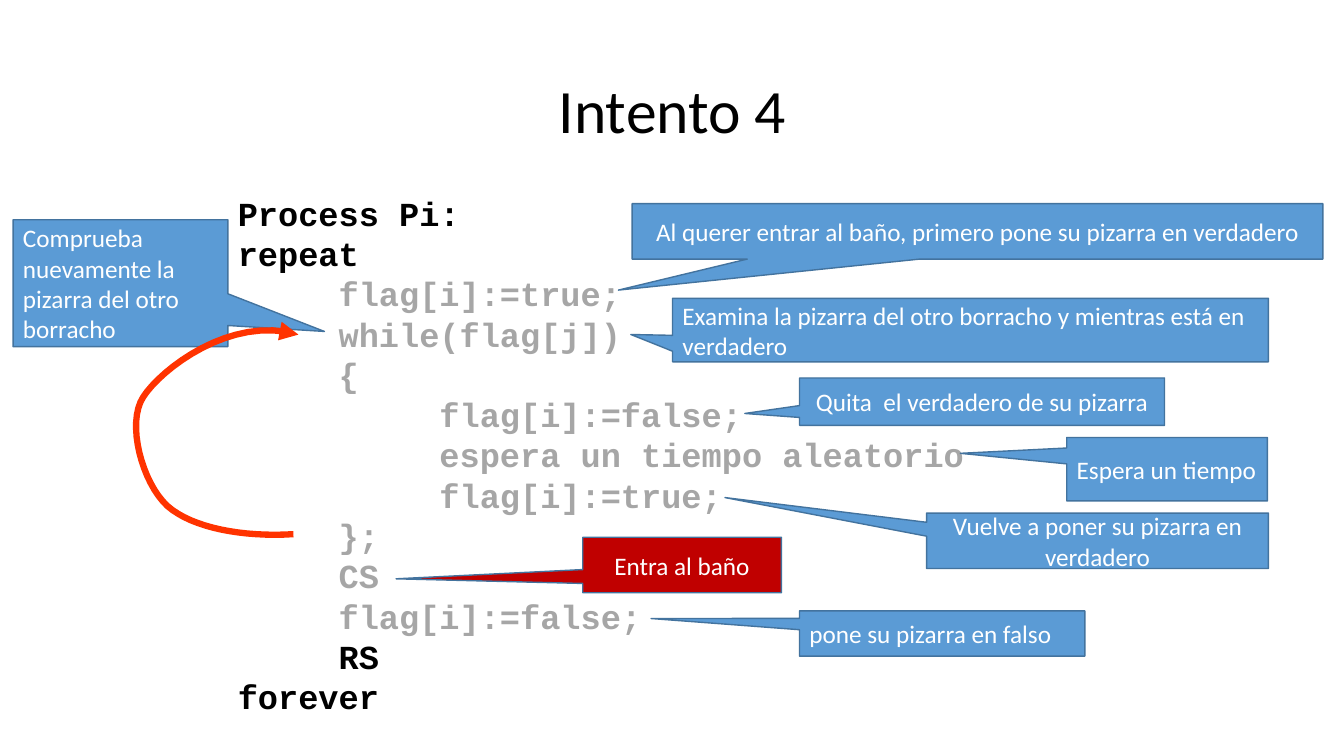
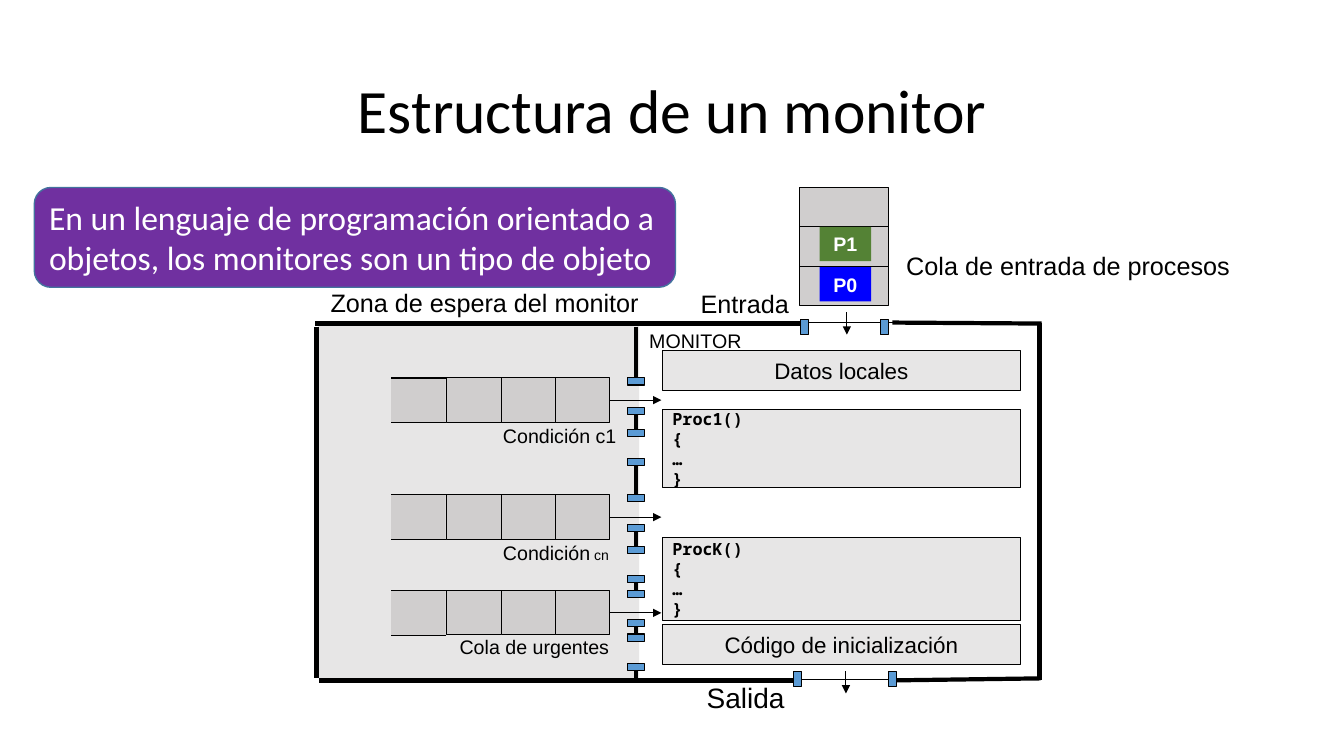
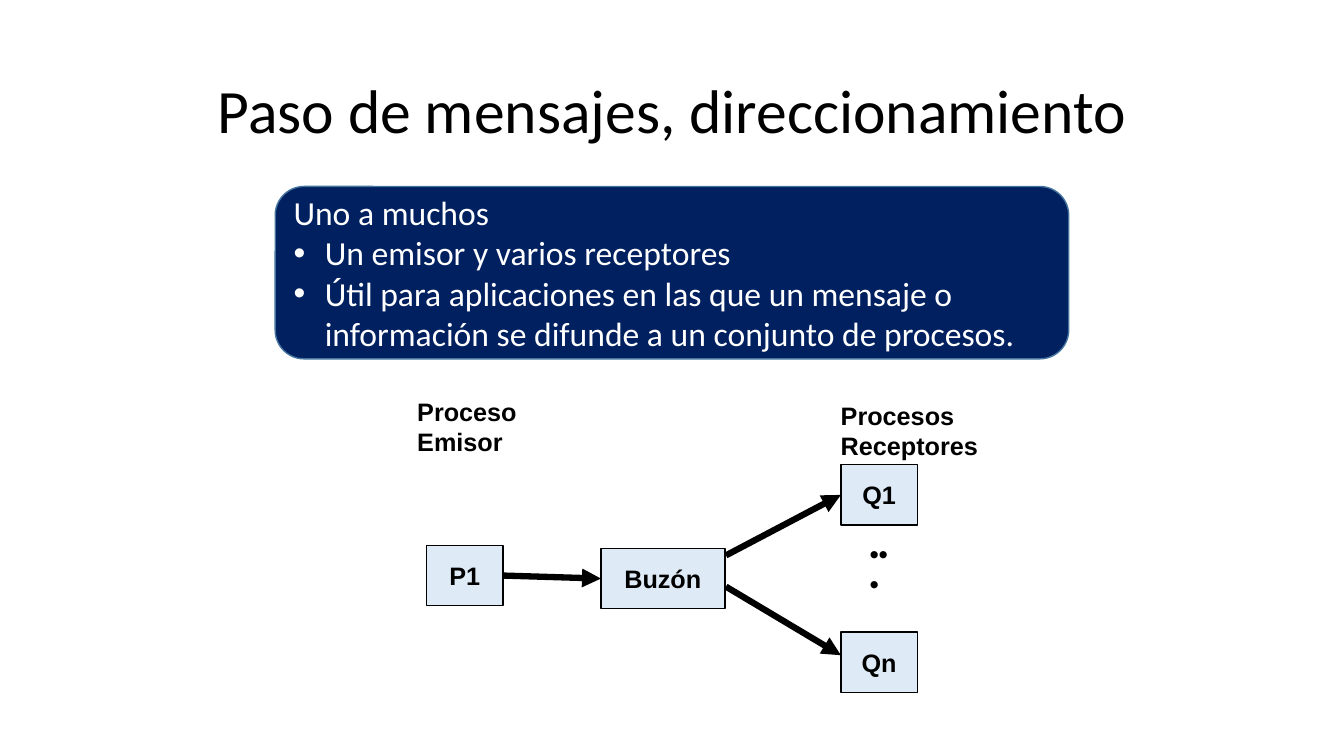
from dataclasses import dataclass
from typing import NamedTuple, Optional

from lxml.etree import SubElement
from pptx import Presentation
from pptx.dml.color import RGBColor
from pptx.enum.shapes import MSO_CONNECTOR, MSO_SHAPE
from pptx.enum.text import MSO_ANCHOR, MSO_AUTO_SIZE, PP_ALIGN
from pptx.oxml.ns import qn
from pptx.shapes.autoshape import Shape
from pptx.shapes.connector import Connector
from pptx.slide import Slide
from pptx.text.text import TextFrame
from pptx.util import Inches, Pt


@dataclass(frozen=True)
class Font:
    size: int
    name: str = "Arial"
    color: str = "000000"
    bold: bool = False


@dataclass(frozen=True)
class Theme:
    black: str = "000000"
    blue: str = "5B9BD5"
    edge: str = "43739E"
    red: str = "C00000"
    arrow: str = "FF3300"
    zone: str = "E7E6E6"
    cell: str = "D0CECE"
    green: str = "548235"
    bright: str = "0000FF"
    purple: str = "7030A0"
    navy: str = "002060"
    pale: str = "DEEBF7"
    thin: float = 0.75
    mid: float = 1
    wall: float = 3
    thick: float = 4.5
    title: Font = Font(44, "Calibri")
    note: Font = Font(18, "Calibri", "FFFFFF")
    panel: Font = Font(24, "Calibri", "FFFFFF")
    code: Font = Font(24, "Courier New", bold=True)
    dim: Font = Font(24, "Courier New", "A6A6A6", True)
    proc: Font = Font(12, "Noto Sans Mono", bold=True)
    tiny: Font = Font(10)
    small: Font = Font(14)
    body: Font = Font(16)
    label: Font = Font(18)
    large: Font = Font(20)
    node: Font = Font(18, bold=True)
    token: Font = Font(14, color="FFFFFF", bold=True)


class Box(NamedTuple):
    x: float
    y: float
    w: float
    h: float


class Para(NamedTuple):
    runs: tuple[tuple[str, Font], ...]
    left: float = 0
    bullet: bool = False


class Note(NamedTuple):
    box: Box
    tip: tuple[float, float]
    text: str
    center: bool = False
    fill: str = Theme.blue


class Label(NamedTuple):
    box: Box
    paras: list[Para]
    wrap: bool = False


T = Theme()
CENTER = PP_ALIGN.CENTER
LEFT = PP_ALIGN.LEFT
Point = tuple[float, float]


def plain(font: Font, *lines: str) -> list[Para]:
    return [Para(((line, font),)) for line in lines]


def write(frame: TextFrame, paras: list[Para], align: PP_ALIGN = LEFT) -> None:
    for i, para in enumerate(paras):
        item = frame.add_paragraph() if i else frame.paragraphs[0]
        item.alignment = align
        for text, font in para.runs:
            run = item.add_run()
            run.text = text
            run.font.size = Pt(font.size)
            run.font.name = font.name
            run.font.bold = font.bold
            run.font.color.rgb = RGBColor.from_string(font.color)
        if para.left:
            props = item._p.get_or_add_pPr()
            props.set("marL", str(Inches(para.left)))
            props.set("indent", str(-Inches(para.left) if para.bullet else 0))
            if para.bullet:
                SubElement(props, qn("a:buFont")).set("typeface", "Arial")
                SubElement(props, qn("a:buChar")).set("char", "•")


def paint(shape: Shape, fill: Optional[str], edge: Optional[str], width: float) -> None:
    shape.shadow.inherit = False
    if fill:
        shape.fill.solid()
        shape.fill.fore_color.rgb = RGBColor.from_string(fill)
    else:
        shape.fill.background()
    if edge:
        shape.line.color.rgb = RGBColor.from_string(edge)
        shape.line.width = Pt(width)
    else:
        shape.line.fill.background()


def block(
    slide: Slide,
    box: Box,
    fill: Optional[str],
    edge: Optional[str] = T.black,
    width: float = T.thin,
    paras: Optional[list[Para]] = None,
    align: PP_ALIGN = CENTER,
    kind: MSO_SHAPE = MSO_SHAPE.RECTANGLE,
) -> Shape:
    shape = slide.shapes.add_shape(kind, *map(Inches, box))
    paint(shape, fill, edge, width)
    if paras:
        shape.text_frame.word_wrap = True
        shape.text_frame.vertical_anchor = MSO_ANCHOR.MIDDLE
        write(shape.text_frame, paras, align)
    return shape


def put(slide: Slide, label: Label) -> None:
    frame = slide.shapes.add_textbox(*map(Inches, label.box)).text_frame
    frame.word_wrap = label.wrap
    frame.auto_size = MSO_AUTO_SIZE.SHAPE_TO_FIT_TEXT
    write(frame, label.paras)


def point(shape: Shape | Connector) -> None:
    SubElement(shape.element.spPr.find(qn("a:ln")), qn("a:tailEnd")).set("type", "triangle")


def line(slide: Slide, start: Point, end: Point, width: float = T.thin, head: bool = False) -> Connector:
    link = slide.shapes.add_connector(MSO_CONNECTOR.STRAIGHT, *map(Inches, start + end))
    link.line.color.rgb = RGBColor.from_string(T.black)
    link.line.width = Pt(width)
    if head:
        point(link)
    SubElement(link.element.spPr, qn("a:effectLst"))
    return link


def bend(a: Point, b: Point, c: Point, d: Point, steps: int = 16) -> list[Point]:
    spots = []
    for i in range(1, steps + 1):
        t = i / steps
        u = 1 - t
        rates = (u**3, 3 * u * u * t, 3 * u * t * t, t**3)
        spots.append(tuple(sum(r * p[k] for r, p in zip(rates, (a, b, c, d))) for k in (0, 1)))
    return spots


def start(deck: Presentation, title: str) -> Slide:
    slide = deck.slides.add_slide(deck.slide_layouts[6])
    frame = slide.shapes.add_textbox(*map(Inches, Box(0.92, 0.4, 11.5, 1.45))).text_frame
    frame.word_wrap = True
    frame.vertical_anchor = MSO_ANCHOR.MIDDLE
    write(frame, plain(T.title, title), CENTER)
    frame.paragraphs[0].line_spacing = 0.9
    return slide


def loop(slide: Slide) -> None:
    first = (2.91, 5.3)
    curves = (
        ((2.41, 5.33), (1.91, 5.24), (1.66, 5.02)),
        ((1.41, 4.79), (1.25, 4.2), (1.42, 3.94)),
        ((1.59, 3.67), (2.29, 3.12), (2.96, 3.32)),
    )
    spots = [first]
    for curve in curves:
        spots += bend(spots[-1], *curve)
    track = [(Inches(x), Inches(y)) for x, y in spots]
    pen = slide.shapes.build_freeform(*track[0])
    pen.add_line_segments(track[1:], close=False)
    shape = pen.convert_to_shape()
    paint(shape, None, T.arrow, T.thick)
    point(shape)


def attempt(deck: Presentation) -> None:
    slide = start(deck, "Intento 4")
    code = (
        (0, T.code, "Process Pi:"),
        (0, T.code, "repeat"),
        (1, T.dim, "flag[i]:=true;"),
        (1, T.dim, "while(flag[j])"),
        (1, T.dim, "{"),
        (2, T.dim, "flag[i]:=false;"),
        (2, T.dim, "espera un tiempo aleatorio"),
        (2, T.dim, "flag[i]:=true;"),
        (1, T.dim, "};"),
        (1, T.dim, "CS"),
        (1, T.dim, "flag[i]:=false;"),
        (1, T.code, "RS"),
        (0, T.code, "forever"),
    )
    lines = [Para(((text, font),), left) for left, font, text in code]
    put(slide, Label(Box(2.26, 1.86, 7.72, 5.35), lines, True))
    notes = (
        Note(Box(0.13, 2.18, 2.13, 1.26), (0.95, 0.38), "Comprueba nuevamente la pizarra del otro borracho"),
        Note(Box(6.27, 2.02, 6.85, 0.55), (-0.52, 1.06),
             "Al querer entrar al baño, primero pone su pizarra en verdadero", True),
        Note(Box(6.67, 2.96, 5.91, 0.63), (-0.57, 0.07),
             "Examina la pizarra del otro borracho y mientras está en verdadero"),
        Note(Box(7.93, 3.75, 3.62, 0.47), (-0.65, 0.25), "Quita  el verdadero de su pizarra", True),
        Note(Box(10.58, 4.34, 1.99, 0.63), (-1.03, -0.25), "Espera un tiempo"),
        Note(Box(9.19, 5.09, 3.39, 0.55), (-1.09, -0.78), "Vuelve a poner su pizarra en verdadero", True),
        Note(Box(5.78, 5.33, 1.97, 0.55), (-1.44, 0.25), "Entra al baño", True, T.red),
        Note(Box(7.93, 6.06, 2.83, 0.45), (-1.02, -0.33), "pone su pizarra en falso"),
    )
    for note in notes:
        shape = block(
            slide, note.box, note.fill, T.edge, T.mid, plain(T.note, note.text),
            CENTER if note.center else LEFT, MSO_SHAPE.RECTANGULAR_CALLOUT,
        )
        for i, value in enumerate(note.tip):
            shape.adjustments[i] = value
    loop(slide)


def queue(slide: Slide, top: float) -> None:
    left, wide, high = 3.88, 0.54, 0.44
    block(slide, Box(left, top, wide, high), T.cell, None)
    for y in (top, top + high):
        line(slide, (left + wide, y), (left, y))
    for i in range(1, 4):
        last = block(slide, Box(left + i * wide + 0.01, top, wide, high), T.cell)
    y = top + high / 2
    line(slide, (6.06, y), (6.56, y), head=True).begin_connect(last, 3)


def divide(slide: Slide) -> None:
    gates = (3.75, 4.26, 4.91, 5.42, 5.86, 6.29)
    gap, high = 0.29, 0.07
    heads = [3.24] + [y + gap for y in gates]
    ends = [y + high for y in gates] + [6.73]
    for top, low in zip(heads, ends):
        line(slide, (6.31, top), (6.31, low), T.wall)
    for gate in gates:
        for y in (gate, gate + gap):
            block(slide, Box(6.22, y, 0.17, high), T.blue)


def monitor(deck: Presentation) -> None:
    slide = start(deck, "Estructura de un monitor")
    block(slide, Box(6.29, 3.2, 4.02, 3.54), None)
    block(slide, Box(3.16, 3.2, 3.18, 3.53), T.zone, None)
    walls = (
        ((7.93, 3.21), (3.12, 3.21)),
        ((8.85, 3.2), (10.33, 3.21)),
        ((3.14, 3.24), (3.14, 6.73)),
        ((10.31, 3.2), (10.31, 6.75)),
        ((7.94, 6.75), (3.16, 6.75)),
        ((8.85, 6.75), (10.32, 6.73)),
    )
    for head, end in walls:
        line(slide, head, end, T.wall)
    rooms = (
        (3.48, 0.39, plain(T.body, "Datos locales"), CENTER),
        (4.06, 0.78, plain(T.proc, "Proc1()", "{", "…", "}"), LEFT),
        (5.33, 0.83, plain(T.proc, "ProcK()", "{", "…", "}"), LEFT),
        (6.2, 0.39, plain(T.body, "Código de inicialización"), CENTER),
    )
    for top, high, paras, align in rooms:
        block(slide, Box(6.57, top, 3.55, high), T.zone, paras=paras, align=align)
    for x, y in ((7.94, 3.17), (8.73, 3.17), (7.87, 6.66), (8.81, 6.66)):
        block(slide, Box(x, y, 0.08, 0.15), T.blue)
    for i in range(3):
        block(slide, Box(7.93, 1.86 + i * 0.39, 0.88, 0.39), T.cell)
    divide(slide)
    for top in (3.75, 4.91, 5.86):
        queue(slide, top)
    for x, y in ((8.4, 3.1), (8.39, 6.66)):
        line(slide, (x, y), (x, y + 0.22), head=True)
    labels = (
        Label(Box(6.34, 3.21, 1.12, 0.34), plain(T.small, "MONITOR")),
        Label(Box(4.89, 4.16, 1.33, 0.34), plain(T.small, "Condición c1")),
        Label(Box(4.89, 5.32, 1.26, 0.34), [Para((("Condición", T.small), (" cn", T.tiny)))]),
        Label(Box(4.46, 6.25, 1.69, 0.34), plain(T.small, "Cola de urgentes")),
        Label(Box(6.85, 2.81, 1.09, 0.4), plain(T.label, "Entrada")),
        Label(Box(3.18, 2.8, 3.52, 0.4), plain(T.label, "Zona de espera del monitor"), True),
        Label(Box(8.89, 2.43, 3.54, 0.4), plain(T.label, "Cola de entrada de procesos"), True),
        Label(Box(6.91, 6.7, 0.98, 0.44), plain(T.large, "Salida")),
    )
    for label in labels:
        put(slide, label)
    for name, top, fill in (("P1", 2.25, T.green), ("P0", 2.65, T.bright)):
        block(slide, Box(8.13, top, 0.51, 0.34), fill, None, paras=plain(T.token, name))
    text = "En un lenguaje de programación orientado a objetos, los monitores son un tipo de objeto"
    block(slide, Box(0.34, 1.86, 6.36, 0.99), T.purple, T.edge, T.mid,
          plain(T.panel, text), LEFT, MSO_SHAPE.ROUNDED_RECTANGLE)


def message(deck: Presentation) -> None:
    slide = start(deck, "Paso de mensajes, direccionamiento")
    places = {
        "P1": (4.23, 5.41, 0.76),
        "Q1": (8.34, 4.61, 0.76),
        "Qn": (8.34, 6.27, 0.76),
        "Buzón": (5.96, 5.44, 1.23),
    }
    nodes = {
        name: block(slide, Box(x, y, wide, 0.6), T.pale, width=T.mid, paras=plain(T.node, name))
        for name, (x, y, wide) in places.items()
    }
    labels = (
        Label(Box(8.53, 5.29, 0.38, 1.01), plain(T.node, "•• •"), True),
        Label(Box(4.04, 3.88, 1.2, 0.71), plain(T.node, "Proceso", "Emisor")),
        Label(Box(8.24, 3.92, 1.58, 0.71), plain(T.node, "Procesos", "Receptores")),
    )
    for label in labels:
        put(slide, label)
    send = line(slide, (4.99, 5.74), (5.96, 5.74), T.thick, True)
    send.begin_connect(nodes["P1"], 3)
    send.end_connect(nodes["Buzón"], 1)
    line(slide, (7.2, 5.51), (8.34, 4.91), T.thick, True).end_connect(nodes["Q1"], 1)
    line(slide, (7.2, 5.82), (8.34, 6.5), T.thick, True)
    head, *items = plain(
        T.panel,
        "Uno a muchos",
        "Un emisor y varios receptores",
        "Útil para aplicaciones en las que un mensaje o información se difunde a un conjunto de procesos.",
    )
    paras = [head] + [Para(item.runs, 0.31, True) for item in items]
    block(slide, Box(2.73, 1.85, 7.87, 1.71), T.navy, T.edge, T.mid,
          paras, LEFT, MSO_SHAPE.ROUNDED_RECTANGLE)


def main() -> None:
    deck = Presentation()
    deck.slide_width = Inches(13.33)
    deck.slide_height = Inches(7.5)
    for build in (attempt, monitor, message):
        build(deck)
    deck.save("out.pptx")


if __name__ == "__main__":
    main()
